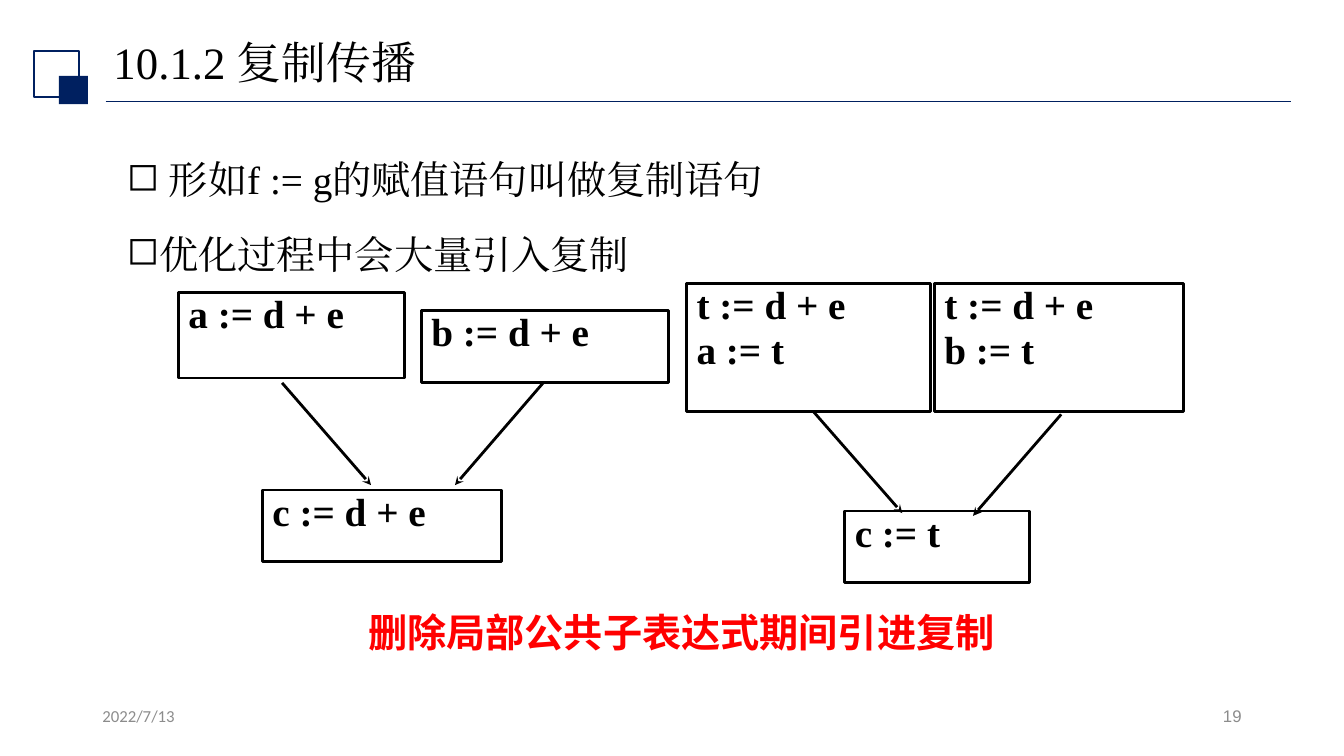
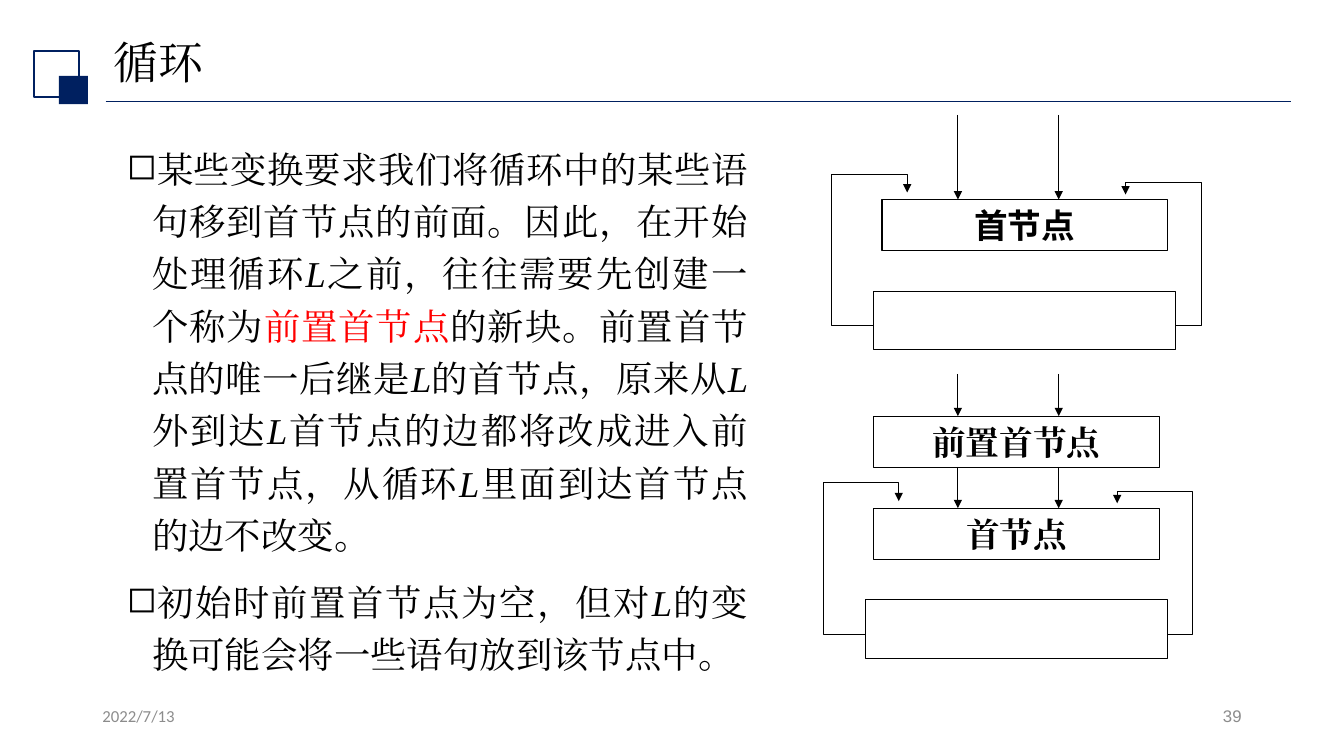
"""Build two lecture slides on copy propagation and loop preheaders."""
from dataclasses import dataclass
from typing import NamedTuple, Optional, Sequence

from lxml.etree import SubElement
from pptx import Presentation
from pptx.dml.color import RGBColor
from pptx.enum.shapes import MSO_CONNECTOR, MSO_SHAPE
from pptx.enum.text import MSO_ANCHOR, PP_ALIGN
from pptx.oxml.ns import qn
from pptx.slide import Slide
from pptx.util import Pt

NAVY = RGBColor(0x00, 0x20, 0x60)
BLACK = RGBColor(0x00, 0x00, 0x00)
RED = RGBColor(0xFF, 0x00, 0x00)
GREY = RGBColor(0x8C, 0x8C, 0x8C)
SERIF = "Times New Roman"
CJK = "Noto Sans CJK SC"
DATE = "2022/7/13"
THIN = 0.75
THICK = 2


class Area(NamedTuple):
    left: float
    top: float
    width: float
    height: float


class Point(NamedTuple):
    x: float
    y: float


class Span(NamedTuple):
    text: str
    colour: RGBColor = BLACK
    italic: bool = False


@dataclass(frozen=True)
class CodeBlock:
    statements: tuple[str, ...]
    area: Area


@dataclass(frozen=True)
class Edge:
    start: Point
    end: Point


@dataclass(frozen=True)
class Loop:
    head: Point
    font: str


TITLE_AREA = Area(74, 24.5, 828, 44)
DATE_AREA = Area(66, 500.5, 216, 28.8)
NUMBER_AREA = Area(678, 500.5, 216, 28.8)
HEAD_WIDTH, HEAD_HEIGHT = 204, 36.75
INSETS = (7.2, 3.6)

CODE_BLOCKS = (
    CodeBlock(("t := d + e", "a := t"), Area(490.5, 202.5, 174, 91.5)),
    CodeBlock(("t := d + e", "b := t"), Area(667.5, 202.5, 178, 91.5)),
    CodeBlock(("c := t",), Area(603.5, 365, 132, 51)),
    CodeBlock(("c := d + e",), Area(187.5, 350, 171, 51)),
    CodeBlock(("b := d + e",), Area(301, 222, 176.5, 51)),
    CodeBlock(("a := d + e",), Area(127.5, 209, 161.5, 61)),
)
FLOW_EDGES = (
    Edge(Point(581, 294), Point(644.5, 366.5)),
    Edge(Point(758, 296), Point(695, 368.5)),
    Edge(Point(201.5, 273.5), Point(265, 346.5)),
    Edge(Point(388, 273.5), Point(325, 346.5)),
)
COPY_POINTS = (
    (Span(" 形如f := g的赋值语句叫做复制语句"),),
    (Span("优化过程中会大量引入复制"),),
)
LOOP_NAME = Span("L", italic=True)
PREHEADER_POINTS = (
    (
        Span("某些变换要求我们将循环中的某些语句移到首节点的前面。因此，在开始处理循环"),
        LOOP_NAME,
        Span("之前，往往需要先创建一个称为"),
        Span("前置首节点", RED),
        Span("的新块。前置首节点的唯一后继是"),
        LOOP_NAME,
        Span("的首节点，原来从"),
        LOOP_NAME,
        Span("外到达"),
        LOOP_NAME,
        Span("首节点的边都将改成进入前置首节点，从循环"),
        LOOP_NAME,
        Span("里面到达首节点的边不改变。"),
    ),
    (
        Span("初始时前置首节点为空，但对"),
        LOOP_NAME,
        Span("的变换可能会将一些语句放到该节点中。"),
    ),
)
LOOPS = (Loop(Point(630, 142.5), CJK), Loop(Point(624, 363), SERIF))
PREHEADER = Point(624, 297.25)
ENTRY_COLUMNS = (684.25, 756.25)
ENTRY_ROWS = ((82, 142.5), (267, 297.25), (333.5, 363))
BACK_EDGES = (
    (Point(-6, 90), Point(-36, 90), Point(-36, -18), Point(18, -18), Point(18, -5)),
    (Point(210, 90), Point(228, 90), Point(228, -12.25), Point(174, -12.25),
     Point(174, -3.5)),
)


def points(*lengths: float) -> list:
    """Convert lengths in points to slide units."""
    return [Pt(length) for length in lengths]


def write(frame, paragraphs: Sequence[Sequence[Span]], *, font: str = SERIF,
          size: float = 28, bold: bool = False, align: PP_ALIGN = PP_ALIGN.LEFT,
          spacing: float = 1.0, before: float = 0, bullet: Optional[str] = None,
          anchor: MSO_ANCHOR = MSO_ANCHOR.TOP,
          insets: tuple[float, float] = INSETS) -> None:
    """Fill a text frame with formatted paragraphs."""
    frame.word_wrap = True
    frame.vertical_anchor = anchor
    frame.margin_left = frame.margin_right = Pt(insets[0])
    frame.margin_top = frame.margin_bottom = Pt(insets[1])
    for index, spans in enumerate(paragraphs):
        paragraph = frame.add_paragraph() if index else frame.paragraphs[0]
        paragraph.alignment = align
        paragraph.line_spacing = spacing
        paragraph.space_before = Pt(before)
        if bullet:
            properties = paragraph._p.get_or_add_pPr()
            properties.set("marL", str(Pt(18)))
            properties.set("indent", str(Pt(-18)))
            SubElement(properties, qn("a:buChar")).set("char", bullet)
        for span in spans:
            run = paragraph.add_run()
            run.text = span.text
            run.font.name = font
            run.font.size = Pt(size)
            run.font.bold = bold
            run.font.italic = span.italic
            run.font.color.rgb = span.colour
            east_asian = SubElement(run._r.get_or_add_rPr(), qn("a:ea"))
            east_asian.set("typeface", font)


def add_label(slide: Slide, area: Area, paragraphs: Sequence[Sequence[Span]],
              **text_format) -> None:
    """Place text without an outline."""
    label = slide.shapes.add_textbox(*points(*area))
    write(label.text_frame, paragraphs, **text_format)


def add_box(slide: Slide, area: Area, *, colour: RGBColor = BLACK,
            weight: float = THIN, filled: bool = False):
    """Draw a rectangle, either filled or outlined."""
    box = slide.shapes.add_shape(MSO_SHAPE.RECTANGLE, *points(*area))
    box.shadow.inherit = False
    if filled:
        box.fill.solid()
        box.fill.fore_color.rgb = colour
        box.line.fill.background()
    else:
        box.fill.background()
        box.line.color.rgb = colour
        box.line.width = Pt(weight)
    return box


def add_arrowhead(stroke, head: str) -> None:
    """Put an arrowhead at the end of a stroke."""
    outline = stroke._element.spPr.find(qn("a:ln"))
    SubElement(outline, qn("a:tailEnd")).set("type", head)


def add_line(slide: Slide, edge: Edge, *, colour: RGBColor = BLACK,
             weight: float = THIN, head: Optional[str] = None) -> None:
    """Draw a straight line with an optional arrowhead."""
    line = slide.shapes.add_connector(
        MSO_CONNECTOR.STRAIGHT, *points(*edge.start, *edge.end))
    line.line.color.rgb = colour
    line.line.width = Pt(weight)
    if head:
        add_arrowhead(line, head)
    SubElement(line._element.spPr, qn("a:effectLst"))


def add_back_edge(slide: Slide, corners: Sequence[Point]) -> None:
    """Draw an open bent arrow through the corners."""
    first, *rest = [tuple(points(*corner)) for corner in corners]
    builder = slide.shapes.build_freeform(*first)
    builder.add_line_segments(rest, close=False)
    back_edge = builder.convert_to_shape()
    back_edge.shadow.inherit = False
    back_edge.fill.background()
    back_edge.line.color.rgb = BLACK
    back_edge.line.width = Pt(THIN)
    add_arrowhead(back_edge, "triangle")


def add_node(slide: Slide, corner: Point, name: str, font: str) -> None:
    """Draw a named flow graph node."""
    node = add_box(slide, Area(*corner, HEAD_WIDTH, HEAD_HEIGHT))
    write(node.text_frame, [[Span(name)]], font=font, size=24, bold=True,
          align=PP_ALIGN.CENTER, anchor=MSO_ANCHOR.MIDDLE, insets=(7.2, 0))


def add_loop(slide: Slide, loop: Loop) -> None:
    """Draw a loop head, its body and both back edges."""
    x, y = loop.head
    add_node(slide, loop.head, "首节点", loop.font)
    add_box(slide, Area(x - 6, y + 65.5, 216, 42))
    for offsets in BACK_EDGES:
        add_back_edge(slide, [Point(x + dx, y + dy) for dx, dy in offsets])


def add_page(deck, title: str, number: int) -> Slide:
    """Add a slide with the shared title, ornament and footer."""
    slide = deck.slides.add_slide(deck.slide_layouts[6])
    add_line(slide, Edge(Point(75.5, 72.5), Point(922.5, 72.5)),
             colour=NAVY, weight=1.25)
    add_box(slide, Area(24, 36.5, 32.5, 32.5), colour=NAVY, weight=1.5)
    add_box(slide, Area(42, 54.25, 20.75, 20.25), colour=NAVY, filled=True)
    add_label(slide, TITLE_AREA, [[Span(title)]], size=32, spacing=0.9,
              anchor=MSO_ANCHOR.MIDDLE)
    add_label(slide, DATE_AREA, [[Span(DATE, GREY)]], font="Calibri", size=12)
    add_label(slide, NUMBER_AREA, [[Span(str(number), GREY)]], font="Arial",
              size=12, align=PP_ALIGN.RIGHT)
    return slide


def build_copy_propagation(deck) -> None:
    """Build the slide on copy statements."""
    slide = add_page(deck, "10.1.2 复制传播", 19)
    add_label(slide, Area(83.5, 90.75, 770.5, 324.75), COPY_POINTS,
              spacing=1.5, before=2.8, bullet="◻")
    for block in CODE_BLOCKS:
        box = add_box(slide, block.area, weight=THICK)
        write(box.text_frame, [[Span(line)] for line in block.statements],
              bold=True, align=PP_ALIGN.JUSTIFY, spacing=0.96, insets=(7.2, 0))
    for edge in FLOW_EDGES:
        add_line(slide, edge, weight=THICK, head="stealth")
    add_label(slide, Area(242, 431.25, 483, 46.75),
              [[Span(" 删除局部公共子表达式期间引进复制", RED)]],
              font=CJK, bold=True, align=PP_ALIGN.CENTER)


def build_loop_preheader(deck) -> None:
    """Build the slide on loop preheaders."""
    slide = add_page(deck, "循环", 39)
    add_label(slide, Area(83.5, 95, 458, 405.25), PREHEADER_POINTS, size=26,
              align=PP_ALIGN.JUSTIFY, spacing=1.2, before=10, bullet="◻")
    for loop in LOOPS:
        add_loop(slide, loop)
    add_node(slide, PREHEADER, "前置首节点", SERIF)
    for top, bottom in ENTRY_ROWS:
        for x in ENTRY_COLUMNS:
            add_line(slide, Edge(Point(x, top), Point(x, bottom)), head="triangle")


def main() -> None:
    """Build and save the deck."""
    deck = Presentation()
    deck.slide_width, deck.slide_height = points(960, 540)
    build_copy_propagation(deck)
    build_loop_preheader(deck)
    deck.save("out.pptx")


main()
